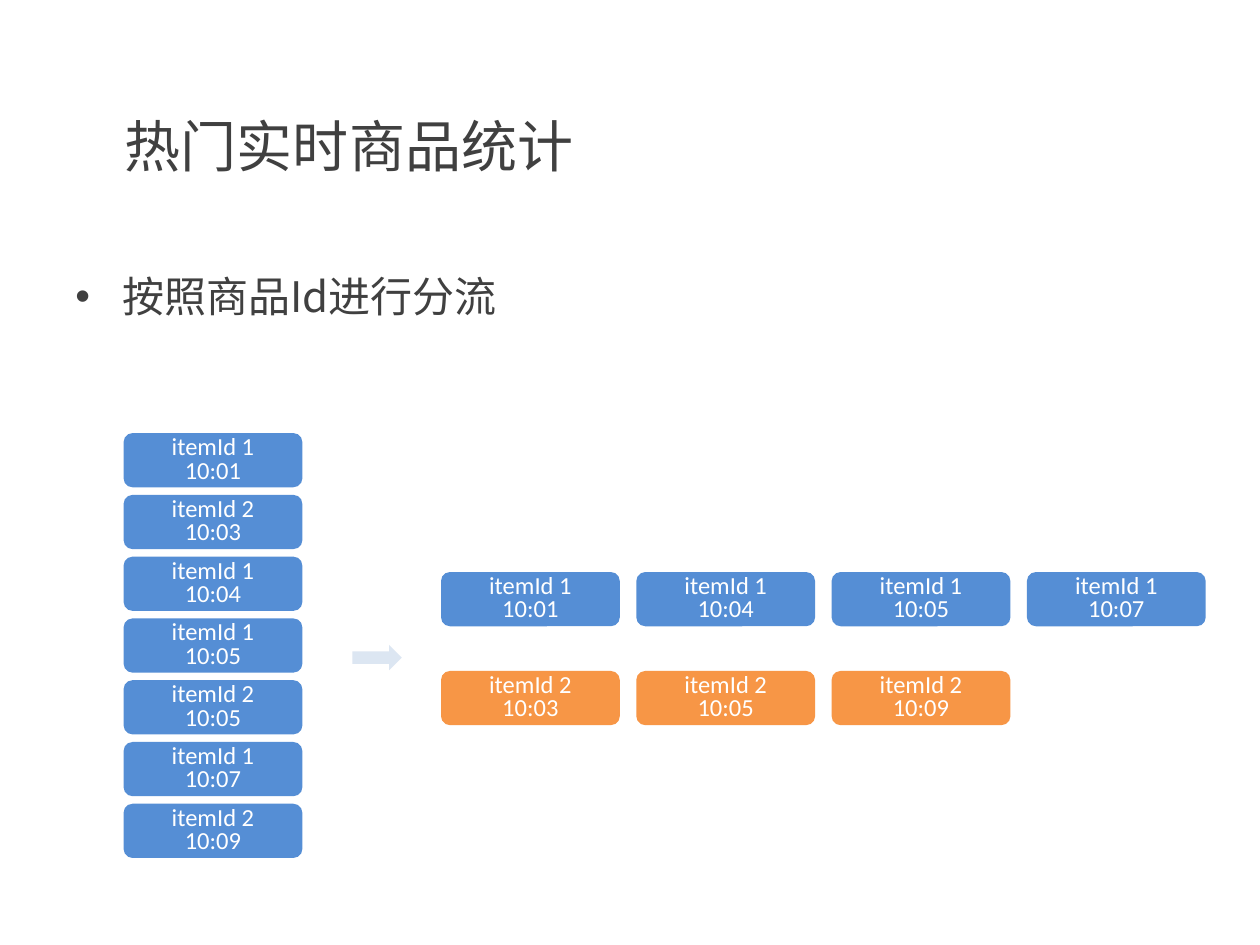
from lxml import etree
from pptx import Presentation
from pptx.dml.color import RGBColor
from pptx.enum import shapes, text
from pptx.oxml import ns
from pptx.util import Pt

BLUE, ORANGE, PALE, GREY = "558ED5", "F79646", "DCE6F2", "404040"
CJK = "Noto Sans CJK SC"


def rgb(value):
    return RGBColor.from_string(value)


def add_shape(kind, x, y, w, h, fill):
    sp = s.shapes.add_shape(kind, Pt(x), Pt(y), Pt(w), Pt(h))
    sp.shadow.inherit = False
    sp.fill.solid()
    sp.fill.fore_color.rgb = rgb(fill)
    sp.line.fill.background()
    return sp


prs = Presentation()
prs.slide_width, prs.slide_height = Pt(720), Pt(540)
s = prs.slides.add_slide(prs.slide_layouts[6])

# Title and bullet: text, top, height, size, anchor, line spacing, margin, indent, bullet
headings = [
    ("热门实时商品统计", 38, 90, 32, text.MSO_ANCHOR.MIDDLE, 1, 0, 28.35, None),
    ("按照商品Id进行分流", 122.4, 67.7, 24, text.MSO_ANCHOR.TOP, 2, 27, -27, "•"),
]
for words, y, h, size, anchor, spacing, margin, indent, bullet in headings:
    tf = s.shapes.add_textbox(Pt(36), Pt(y), Pt(648), Pt(h)).text_frame
    tf.word_wrap = True
    tf.vertical_anchor = anchor
    p = tf.paragraphs[0]
    p.line_spacing = spacing
    pPr = p._p.get_or_add_pPr()
    pPr.set("marL", str(Pt(margin)))
    pPr.set("indent", str(Pt(indent)))
    if bullet:
        etree.SubElement(pPr, ns.qn("a:buFont"), typeface="Arial")
        etree.SubElement(pPr, ns.qn("a:buChar"), char=bullet)
    r = p.add_run()
    r.text = words
    for name, value in {"size": Pt(size), "name": CJK}.items():
        setattr(r.font, name, value)
    r.font.color.rgb = rgb(GREY)
    etree.SubElement(r._r.get_or_add_rPr(), ns.qn("a:ea"), typeface=CJK)

# Incoming events in time order, then one stream per item
events = [(1, "10:01"), (2, "10:03"), (1, "10:04"), (1, "10:05"),
          (2, "10:05"), (1, "10:07"), (2, "10:09")]
boxes = [(70.6, 247.5 + 35.3 * i, BLUE, item, time)
         for i, (item, time) in enumerate(events)]
for stream, y, fill in [(1, 326.9, BLUE), (2, 383.4, ORANGE)]:
    times = [time for item, time in events if item == stream]
    boxes += [(252 + 111.6 * i, y, fill, stream, time)
              for i, time in enumerate(times)]

for x, y, fill, item, time in boxes:
    sp = add_shape(shapes.MSO_SHAPE.ROUNDED_RECTANGLE, x, y, 102.2, 31, fill)
    tf = sp.text_frame
    tf.vertical_anchor = text.MSO_ANCHOR.MIDDLE
    p = tf.paragraphs[0]
    p.text = f"itemId {item}\v{time}"
    p.alignment = text.PP_ALIGN.CENTER
    p.line_spacing = 0.8
    for r in p.runs:
        for name, value in {"size": Pt(14), "name": "Calibri"}.items():
            setattr(r.font, name, value)
        r.font.color.rgb = rgb("FFFFFF")

# Arrow from the mixed stream to the split streams
add_shape(shapes.MSO_SHAPE.RIGHT_ARROW, 201.4, 368.6, 28.2, 14.4, PALE)

prs.save("out.pptx")
